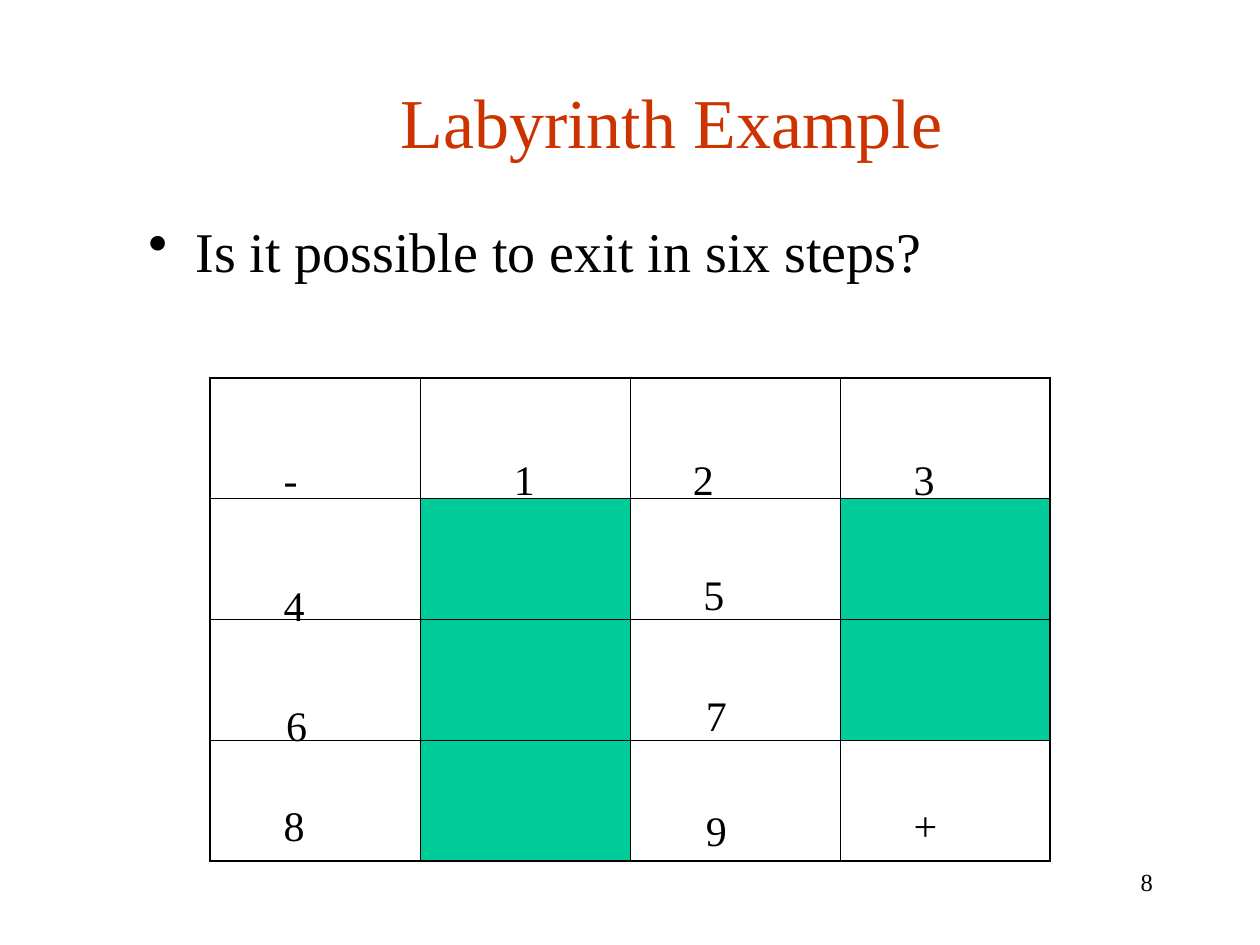
from lxml import etree
from pptx import Presentation
from pptx.dml.color import RGBColor
from pptx.enum.text import MSO_ANCHOR, MSO_AUTO_SIZE, PP_ALIGN
from pptx.oxml.ns import qn
from pptx.util import Cm, Pt

CENTER, LEFT, RIGHT = PP_ALIGN.CENTER, PP_ALIGN.LEFT, PP_ALIGN.RIGHT
TOP, MIDDLE = MSO_ANCHOR.TOP, MSO_ANCHOR.MIDDLE
FIT = MSO_AUTO_SIZE.SHAPE_TO_FIT_TEXT

RED = RGBColor(0xCC, 0x33, 0x00)
GREEN = RGBColor(0x00, 0xCC, 0x99)
BLACK = RGBColor(0x00, 0x00, 0x00)

FONT = "Times New Roman"
SIZE = 4
THIN, THICK = Pt(0.45), Pt(1.08)
WALLS = {(1, 1), (1, 3), (2, 1), (2, 3), (3, 1)}
LABELS = [
    ("-", 1.23, 1.4), ("1", 5.87, 1.4), ("2", 9.48, 1.4), ("3", 13.93, 1.4),
    ("4", 1.23, 3.94), ("5", 9.69, 3.71),
    ("6", 1.28, 6.35), ("7", 9.74, 6.15),
    ("8", 1.23, 8.38), ("9", 9.74, 8.47), ("+", 13.93, 8.38),
]


def write(tf, text, size, color=BLACK, align=LEFT, anchor=TOP):
    tf.vertical_anchor = anchor
    p = tf.paragraphs[0]
    p.alignment = align
    r = p.add_run()
    r.text = text
    for name, value in {"name": FONT, "size": Pt(size)}.items():
        setattr(r.font, name, value)
    r.font.color.rgb = color
    return p


def add_text(s, box, text, size, wrap=True, align=LEFT):
    tf = s.shapes.add_textbox(*map(Cm, box)).text_frame
    tf.word_wrap = wrap
    if not wrap:
        tf.auto_size = FIT
    return write(tf, text, size, align=align)


def add_title(s, box, text):
    sp = s.shapes.title
    for name, value in zip(("left", "top", "width", "height"), box):
        setattr(sp, name, Cm(value))
    write(sp.text_frame, text, 40, RED, CENTER, MIDDLE)


def add_question(s, box, text):
    pPr = add_text(s, box, text, 32)._p.get_or_add_pPr()
    pPr.set("marL", str(Cm(0.95)))
    pPr.set("indent", str(-Cm(0.95)))
    etree.SubElement(pPr, qn("a:buChar"), char="•")


def add_borders(cell, widths):
    tcPr = cell._tc.get_or_add_tcPr()
    for tag, width in widths.items():
        ln = etree.SubElement(tcPr, qn(f"a:{tag}"), w=str(width))
        fill = etree.SubElement(ln, qn("a:solidFill"))
        etree.SubElement(fill, qn("a:srgbClr"), val=str(BLACK))


def add_labyrinth(s, box):
    left, top, width, height = box
    table = s.shapes.add_table(SIZE, SIZE, *map(Cm, box)).table
    last = SIZE - 1
    for i in range(SIZE):
        table.columns[i].width = Cm(width / SIZE)
        table.rows[i].height = Cm(height / SIZE)
        for j in range(SIZE):
            cell = table.cell(i, j)
            outer = {"lnL": j == 0, "lnR": j == last,
                     "lnT": i == 0, "lnB": i == last}
            add_borders(cell, {tag: THICK if edge else THIN
                               for tag, edge in outer.items()})
            if (i, j) in WALLS:
                cell.fill.solid()
                cell.fill.fore_color.rgb = GREEN
            else:
                cell.fill.background()
    for text, x, y in LABELS:
        add_text(s, (left + x, top + y, 0.9, 1.27), text, 24, wrap=False)


def main():
    prs = Presentation()
    prs.slide_width, prs.slide_height = Cm(25.4), Cm(19.05)
    s = prs.slides.add_slide(prs.slide_layouts[5])
    add_title(s, (2.74, 0.84, 21.59, 3.18), "Labyrinth Example")
    add_question(s, (2.74, 4.24, 21.59, 3.07),
                 "Is it possible to exit in six steps?")
    add_labyrinth(s, (4.24, 7.62, 16.93, 9.74))
    add_text(s, (18.2, 17.36, 5.29, 1.27), "8", 14, align=RIGHT)
    prs.save("out.pptx")


if __name__ == "__main__":
    main()
